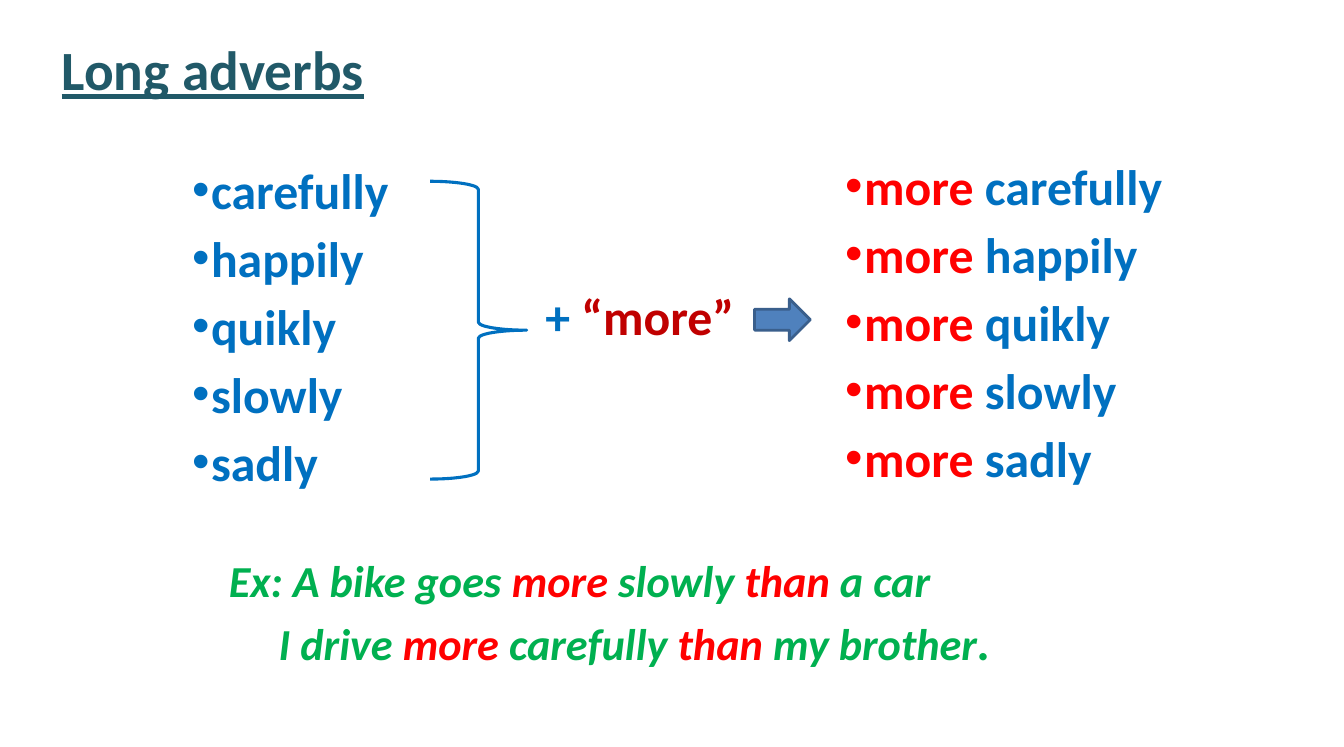
"""Build the slide on comparing long adverbs with "more"."""
from dataclasses import dataclass

import pptx
import pptx.dml.color
import pptx.enum.shapes
import pptx.enum.text
import pptx.oxml
import pptx.oxml.ns
import pptx.shapes.autoshape
import pptx.shapes.base
import pptx.slide
import pptx.text.text
import pptx.util

Inches = pptx.util.Inches
Pt = pptx.util.Pt
RGBColor = pptx.dml.color.RGBColor
MSO_SHAPE = pptx.enum.shapes.MSO_SHAPE

BLUE = RGBColor(0x00, 0x70, 0xC0)
RED = RGBColor(0xFF, 0x00, 0x00)
DARK_RED = RGBColor(0xC0, 0x00, 0x00)
GREEN = RGBColor(0x00, 0xB0, 0x50)
TEAL = RGBColor(0x21, 0x59, 0x68)
ARROW_FILL = RGBColor(0x4F, 0x81, 0xBD)
ARROW_LINE = RGBColor(0x3A, 0x5F, 0x8C)

FONT = "Calibri"
BULLET_INDENT = 0.19
ADVERBS = ["carefully", "happily", "quikly", "slowly", "sadly"]


@dataclass(frozen=True)
class Box:
    left: float
    top: float
    width: float
    height: float

    def lengths(self) -> tuple[int, int, int, int]:
        return (Inches(self.left), Inches(self.top), Inches(self.width), Inches(self.height))


@dataclass(frozen=True)
class Piece:
    text: str
    color: RGBColor
    size: float | None = None


@dataclass(frozen=True)
class TextBlock:
    box: Box
    lines: list[list[Piece]]
    size: float
    space_before: float = 7.5
    line_spacing: float = 0.9
    bulleted: bool = False
    italic: bool = False
    underline: bool = False
    wrap: bool = True
    first_indents: tuple[float, ...] = ()


def set_indent(paragraph: pptx.text.text._Paragraph, margin: float, indent: float) -> None:
    properties = paragraph._p.get_or_add_pPr()
    properties.set("marL", str(Inches(margin)))
    properties.set("indent", str(Inches(indent)))


def add_bullet(paragraph: pptx.text.text._Paragraph) -> None:
    set_indent(paragraph, BULLET_INDENT, -BULLET_INDENT)
    namespace = pptx.oxml.ns.nsdecls("a")
    properties = paragraph._p.get_or_add_pPr()
    properties.append(pptx.oxml.parse_xml(f'<a:buFont {namespace} typeface="Arial"/>'))
    properties.append(pptx.oxml.parse_xml(f'<a:buChar {namespace} char="•"/>'))


def write_block(shape: pptx.shapes.base.BaseShape, block: TextBlock) -> None:
    shape.left, shape.top, shape.width, shape.height = block.box.lengths()
    frame = shape.text_frame
    frame.word_wrap = block.wrap
    frame.auto_size = pptx.enum.text.MSO_AUTO_SIZE.NONE
    frame.vertical_anchor = pptx.enum.text.MSO_ANCHOR.TOP
    for index, pieces in enumerate(block.lines):
        paragraph = frame.add_paragraph() if index else frame.paragraphs[0]
        paragraph.alignment = pptx.enum.text.PP_ALIGN.LEFT
        paragraph.line_spacing = block.line_spacing
        paragraph.space_before = Pt(block.space_before if index else 0)
        if block.bulleted:
            add_bullet(paragraph)
        elif block.first_indents:
            set_indent(paragraph, 0, block.first_indents[index])
        font = paragraph.font
        font.name = FONT
        font.size = Pt(block.size)
        font.bold = True
        font.italic = block.italic
        font.underline = block.underline
        for piece in pieces:
            run = paragraph.add_run()
            run.text = piece.text
            run.font.color.rgb = piece.color
            if piece.size:
                run.font.size = Pt(piece.size)


def add_outline(
    slide: pptx.slide.Slide, kind: MSO_SHAPE, box: Box, color: RGBColor, width: float
) -> pptx.shapes.autoshape.Shape:
    shape = slide.shapes.add_shape(kind, *box.lengths())
    shape.shadow.inherit = False
    shape.line.color.rgb = color
    shape.line.width = Pt(width)
    return shape


def adverb_list(box: Box, lines: list[list[Piece]]) -> TextBlock:
    return TextBlock(box, lines, 36, space_before=6, line_spacing=1.0, bulleted=True)


TITLE = TextBlock(
    Box(0.52, 0.38, 3.28, 0.71), [[Piece("Long adverbs", TEAL)]], 40, underline=True, wrap=False
)
BASE_FORMS = adverb_list(
    Box(1.83, 1.55, 3.06, 3.55), [[Piece(adverb, BLUE)] for adverb in ADVERBS]
)
COMPARATIVES = adverb_list(
    Box(8.39, 1.51, 3.82, 3.55),
    [[Piece("more ", RED), Piece(adverb, BLUE)] for adverb in ADVERBS],
)
PLUS_MORE = TextBlock(
    Box(5.38, 2.89, 2.37, 0.81), [[Piece("+ ", BLUE), Piece("“more”", DARK_RED)]], 36
)
EXAMPLES = TextBlock(
    Box(2.2, 5.57, 8.76, 1.24),
    [
        [
            Piece("Ex: A bike goes ", GREEN),
            Piece("more", RED),
            Piece(" slowly ", GREEN),
            Piece("than ", RED),
            Piece("a car", GREEN),
        ],
        [
            Piece("I drive ", GREEN),
            Piece("more ", RED),
            Piece("carefully ", GREEN),
            Piece("than ", RED),
            Piece("my brother", GREEN),
            Piece(".", GREEN, 36),
        ],
    ],
    32,
    italic=True,
    first_indents=(0, 0.5),
)


def main() -> None:
    presentation = pptx.Presentation()
    presentation.slide_width = Inches(13.5)
    presentation.slide_height = Inches(7.5)
    two_content_layout = presentation.slide_layouts[3]
    slide = presentation.slides.add_slide(two_content_layout)

    title, base_forms, comparatives = slide.placeholders
    write_block(title, TITLE)
    write_block(base_forms, BASE_FORMS)
    write_block(comparatives, COMPARATIVES)
    for block in (PLUS_MORE, EXAMPLES):
        write_block(slide.shapes.add_textbox(*block.box.lengths()), block)

    brace = add_outline(slide, MSO_SHAPE.RIGHT_BRACE, Box(4.32, 1.82, 0.97, 2.99), BLUE, 2.25)
    brace.fill.background()
    arrow = add_outline(slide, MSO_SHAPE.RIGHT_ARROW, Box(7.58, 3, 0.56, 0.42), ARROW_LINE, 2)
    arrow.fill.solid()
    arrow.fill.fore_color.rgb = ARROW_FILL

    presentation.save("out.pptx")


if __name__ == "__main__":
    main()
